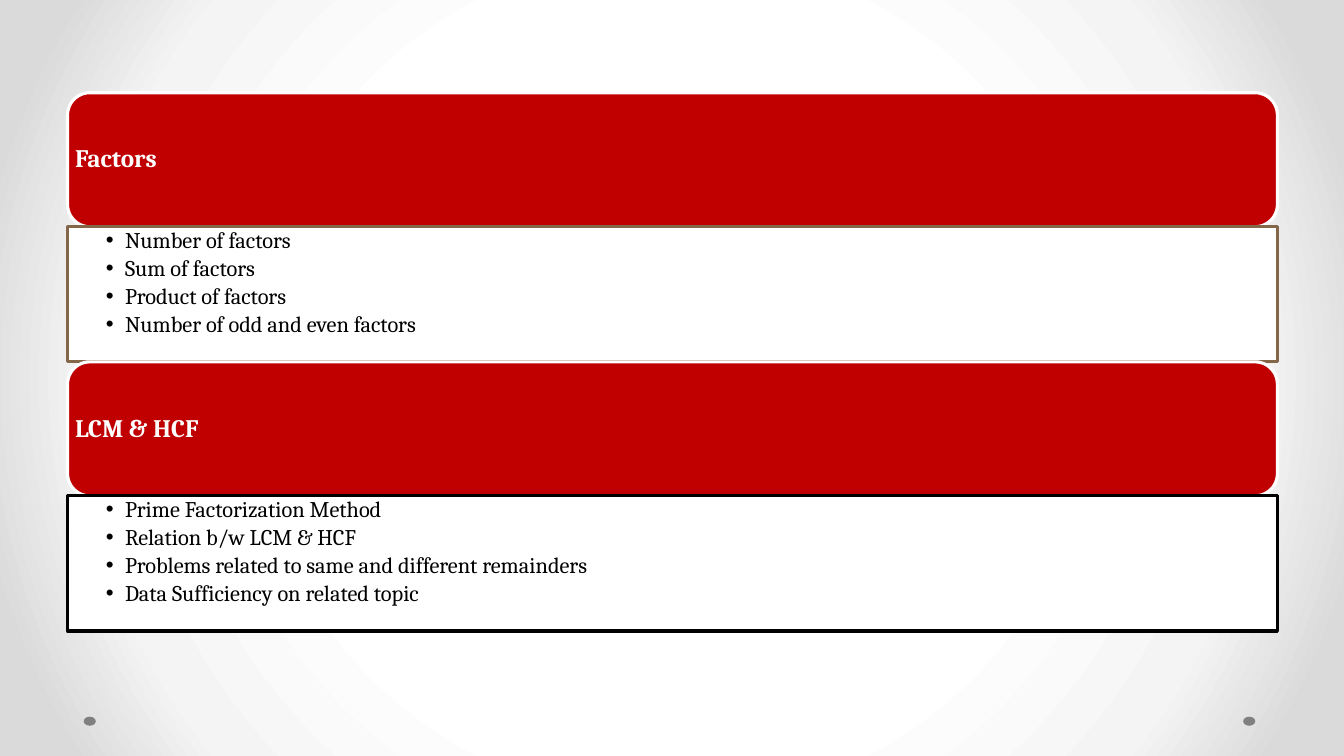
from lxml import etree
from pptx import Presentation
from pptx.dml.color import RGBColor
from pptx.enum.shapes import MSO_SHAPE
from pptx.enum.text import MSO_ANCHOR, PP_ALIGN
from pptx.oxml import parse_xml
from pptx.oxml.ns import qn
from pptx.util import Inches, Pt

RECT, ROUND, OVAL = MSO_SHAPE.RECTANGLE, MSO_SHAPE.ROUNDED_RECTANGLE, MSO_SHAPE.OVAL
TOP, MIDDLE = MSO_ANCHOR.TOP, MSO_ANCHOR.MIDDLE
LEFT = PP_ALIGN.LEFT
NS = "http://schemas.openxmlformats.org/drawingml/2006/main"


def color(code):
    return RGBColor.from_string(code)


class Deck:
    """Holds the style and the current slide."""

    font = "Cambria"
    red, white, black = "C00000", "FFFFFF", "000000"

    def __init__(self, show):
        self.slide = show.slides.add_slide(show.slide_layouts[6])

    def glow(self, stops):
        self.slide.background.fill.solid()
        old = self.slide.element.find(".//" + qn("p:bgPr")).find(qn("a:solidFill"))
        marks = "".join(
            f'<a:gs pos="{pos * 1000}"><a:srgbClr val="{code}"/></a:gs>'
            for pos, code in stops
        )
        grad = parse_xml(
            f'<a:gradFill xmlns:a="{NS}" rotWithShape="1"><a:gsLst>{marks}</a:gsLst>'
            '<a:path path="circle"><a:fillToRect l="50000" t="50000" r="50000" b="50000"/>'
            "</a:path></a:gradFill>"
        )
        old.getparent().replace(old, grad)

    def shape(self, kind, box, fill, line=None):
        item = self.slide.shapes.add_shape(kind, *map(Inches, box))
        item.shadow.inherit = False
        item.fill.solid()
        item.fill.fore_color.rgb = color(fill)
        if line:
            item.line.color.rgb = color(line)
            item.line.width = Pt(2.25)
        else:
            item.line.fill.background()
        return item

    def label(self, item, lines, size, ink, anchor, inset, bold=False):
        frame = item.text_frame
        frame.word_wrap = True
        frame.vertical_anchor = anchor
        frame.margin_left, frame.margin_top, frame.margin_right, frame.margin_bottom = map(
            Inches, inset
        )
        frame.text = "\n".join(lines)
        for para in frame.paragraphs:
            para.alignment = LEFT
            para.line_spacing = 0.9
            font = para.runs[0].font
            font.name, font.size, font.bold = self.font, Pt(size), bold
            font.color.rgb = color(ink)
        return frame

    def header(self, box, text):
        item = self.shape(ROUND, box, self.red, self.white)
        self.label(item, [text], 18, self.white, MIDDLE, (0.01, 0.01, 0.01, 0.01), True)

    def panel(self, box, lines, edge):
        item = self.shape(RECT, box, self.white, edge)
        frame = self.label(item, lines, 16, self.black, TOP, (0.38, 0.02, 0.12, 0.02))
        for para in frame.paragraphs:
            para.level = 1
            para.space_after = Pt(2.8)
            props = para._p.get_or_add_pPr()
            props.set("marL", str(Inches(0.19)))
            props.set("indent", str(-Inches(0.19)))
            etree.SubElement(props, qn("a:buFont")).set("typeface", "Arial")
            etree.SubElement(props, qn("a:buChar")).set("char", "•")


show = Presentation()
show.slide_width, show.slide_height = Inches(13.33), Inches(7.5)
deck = Deck(show)
deck.glow([(50, "FFFFFF"), (76, "F4F4F4"), (92, "DADADA")])

for left in (12.33, 0.83):
    deck.shape(OVAL, (left, 7.11, 0.12, 0.09), "808080")

topics = [
    ("Factors", "846648", [
        "Number of factors",
        "Sum of factors",
        "Product of factors",
        "Number of odd and even factors",
    ]),
    ("LCM & HCF", "000000", [
        "Prime Factorization Method",
        "Relation b/w LCM & HCF",
        "Problems related to same and different remainders",
        "Data Sufficiency on related topic",
    ]),
]
side, first, wide, head, body = 0.67, 0.92, 12, 1.33, 1.34
for row, (title, edge, lines) in enumerate(topics):
    top = first + row * (head + body)
    deck.header((side, top, wide, head), title)
    deck.panel((side, top + head, wide, body), lines, edge)

show.save("out.pptx")
